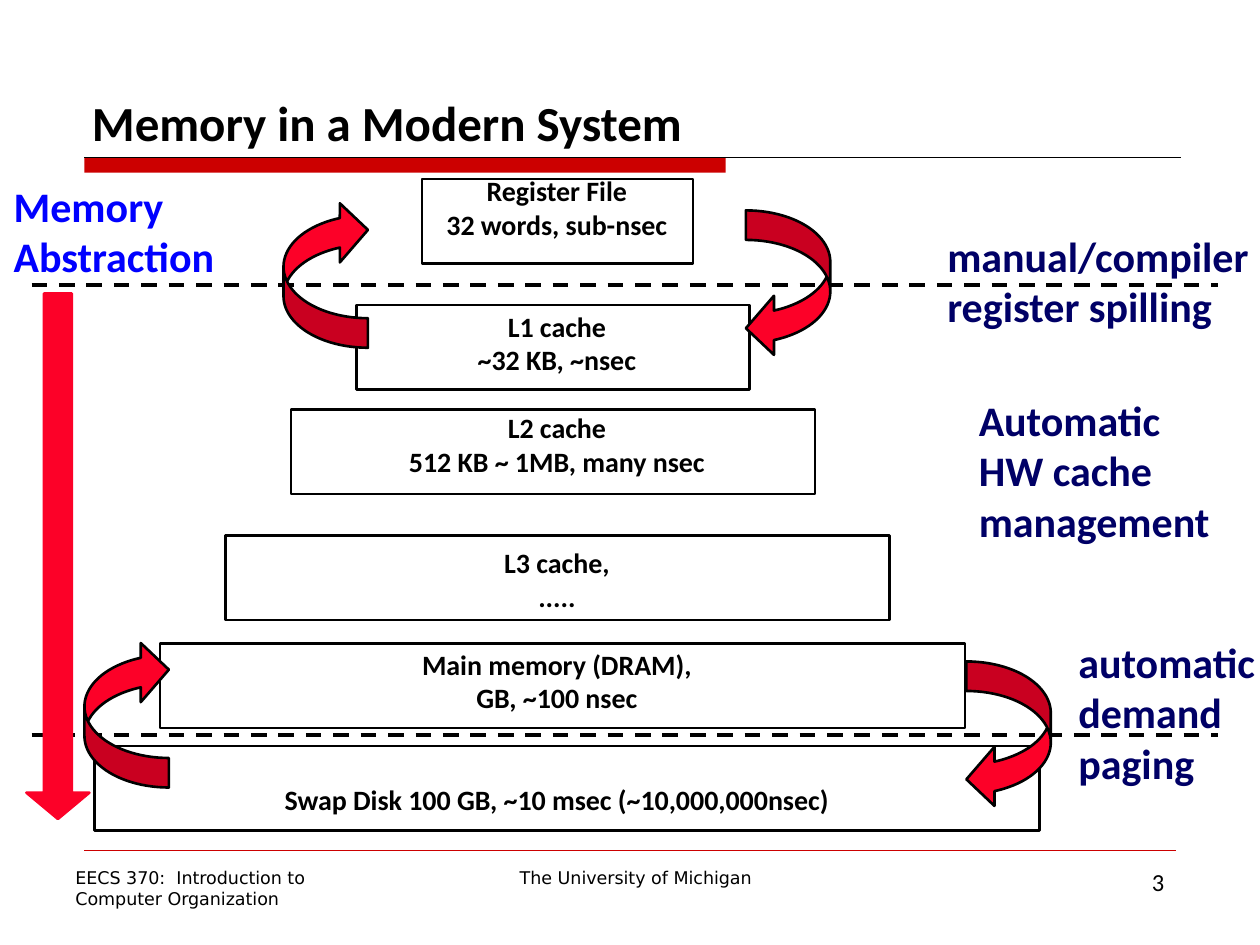
import dataclasses

import pptx
import pptx.dml.color
import pptx.enum.dml
import pptx.enum.shapes
import pptx.enum.text
import pptx.oxml
import pptx.oxml.ns
import pptx.util

Inches = pptx.util.Inches
Pt = pptx.util.Pt
ALIGN = pptx.enum.text.PP_ALIGN
ANCHOR = pptx.enum.text.MSO_ANCHOR
SHAPE = pptx.enum.shapes.MSO_SHAPE
DASH = pptx.enum.dml.MSO_LINE.DASH


@dataclasses.dataclass(frozen=True)
class Theme:
    font: str = "Calibri"
    footer_font: str = "DejaVu Sans"
    black: str = "000000"
    rule: str = "CC0000"
    arrow: str = "FC0128"
    navy: str = "000066"
    blue: str = "0000FF"
    title: int = 28
    label: int = 24
    level: int = 16
    number: int = 14
    footer: int = 10


THEME = Theme()
LEVEL_LINE = 19.5


def rgb(value):
    return pptx.dml.color.RGBColor.from_string(value)


def box(left, top, width, height):
    return [Inches(length) for length in (left, top, width, height)]


def write_text(frame, lines, size, color=THEME.black, font=THEME.font, bold=False,
               align=ALIGN.LEFT, anchor=ANCHOR.TOP, wrap=True, gaps=None):
    frame.word_wrap = wrap
    frame.auto_size = pptx.enum.text.MSO_AUTO_SIZE.NONE
    frame.vertical_anchor = anchor
    for index, line in enumerate(lines):
        paragraph = frame.paragraphs[0] if index == 0 else frame.add_paragraph()
        paragraph.alignment = align
        paragraph.space_before = Pt(gaps[index] if gaps else 0)
        properties = paragraph._p.get_or_add_pPr()
        properties.set("marL", "0")
        properties.set("indent", "0")
        pptx.oxml.ns.qn("a:buNone")
        properties.append(pptx.oxml.parse_xml(
            f'<a:buNone {pptx.oxml.ns.nsdecls("a")}/>'))
        run = paragraph.add_run()
        run.text = line
        run.font.name = font
        run.font.size = Pt(size)
        run.font.bold = bold
        run.font.color.rgb = rgb(color)


def place_text(placeholder, position, lines, size, **style):
    placeholder.left, placeholder.top, placeholder.width, placeholder.height = box(*position)
    write_text(placeholder.text_frame, lines, size, **style)


def add_text(slide, position, lines, size, **style):
    write_text(slide.shapes.add_textbox(*box(*position)).text_frame, lines, size, **style)


def add_figure(slide, kind, position, fill=None, line=None, adjustments=(), rotation=0):
    figure = slide.shapes.add_shape(kind, *box(*position))
    figure.shadow.inherit = False
    figure.rotation = rotation
    for index, value in enumerate(adjustments):
        figure.adjustments[index] = value
    if fill:
        figure.fill.solid()
        figure.fill.fore_color.rgb = rgb(fill)
    else:
        figure.fill.background()
    if line:
        figure.line.color.rgb = rgb(line)
        figure.line.width = Pt(1.5)
    else:
        figure.line.fill.background()


def add_rule(slide, left, right, y, color, width, dash=None):
    rule = slide.shapes.add_connector(
        pptx.enum.shapes.MSO_CONNECTOR.STRAIGHT, *box(left, y, right, y))
    rule.line.color.rgb = rgb(color)
    rule.line.width = Pt(width)
    if dash:
        rule.line.dash_style = dash
    rule._element.spPr.append(pptx.oxml.parse_xml(
        f'<a:effectLst {pptx.oxml.ns.nsdecls("a")}/>'))


def add_frame(slide):
    add_figure(slide, SHAPE.RECTANGLE, (0.67, 1.25, 5.09, 0.12), fill=THEME.rule)
    add_rule(slide, 0.67, 9.37, 1.25, THEME.black, 0.75)
    add_rule(slide, 0.67, 9.33, 6.75, THEME.rule, 0.25)
    add_text(slide, (3.17, 6.83, 3.75, 0.27), ["The University of Michigan"],
             THEME.footer, font=THEME.footer_font, align=ALIGN.CENTER)
    add_text(slide, (0.5, 6.83, 2.75, 0.43),
             ["EECS 370:  Introduction to", "Computer Organization"],
             THEME.footer, font=THEME.footer_font)
    add_text(slide, (7.67, 6.83, 1.67, 0.52), ["3"], THEME.number, align=ALIGN.RIGHT)


def add_levels(slide, body):
    for left, top, width in [(3.35, 1.42, 2.15), (2.83, 2.42, 3.12), (2.31, 3.25, 4.16),
                             (1.79, 4.25, 5.27), (1.27, 5.11, 6.39), (0.75, 5.92, 7.5)]:
        add_figure(slide, SHAPE.RECTANGLE, (left, top, width, 0.67), line=THEME.black)
    levels = [
        (0, ["Register File", "32 words, sub-nsec"]),
        (2, ["L1 cache", "~32 KB, ~nsec"]),
        (1, ["L2 cache", "512 KB ~ 1MB, many nsec"]),
        (2, ["L3 cache,", "....."]),
        (1, ["Main memory (DRAM),", "GB, ~100 nsec"]),
        (2, ["Swap Disk 100 GB, ~10 msec (~10,000,000nsec)"]),
    ]
    lines = [line for _, texts in levels for line in texts]
    gaps = [lead * LEVEL_LINE if index == 0 else 0
            for lead, texts in levels for index in range(len(texts))]
    place_text(body, (0.17, 1.33, 8.5, 5.67), lines, THEME.level, bold=True,
               align=ALIGN.CENTER, gaps=gaps)


def add_transfers(slide):
    for y in (2.26, 5.83):
        add_rule(slide, 0.25, 9.67, y, THEME.black, 2.25, DASH)
    for left, top, rotation in [(5.92, 1.67, 0), (7.67, 5.25, 0),
                                (2.25, 1.59, 180), (0.67, 5.08, 180)]:
        add_figure(slide, SHAPE.CURVED_LEFT_ARROW, (left, top, 0.67, 1.17), THEME.arrow,
                   THEME.black, (0.35, 0.7, 0.333), rotation)
    add_figure(slide, SHAPE.DOWN_ARROW, (0.21, 2.33, 0.5, 4.17), THEME.arrow,
               THEME.arrow, (0.444, 0.417))


def add_labels(slide):
    for position, lines, color in [
        ((7.42, 1.78, 2.63, 0.91), ["manual/compiler", "register spilling"], THEME.navy),
        ((8.46, 5, 1.62, 1.31), ["automatic", "demand", "paging"], THEME.navy),
        ((7.67, 3.08, 2.06, 1.31), ["Automatic", "HW cache", "management"], THEME.navy),
        ((0.01, 1.38, 1.82, 0.91), ["Memory", "Abstraction"], THEME.blue),
    ]:
        add_text(slide, position, lines, THEME.label, color=color, bold=True, wrap=False)


def main():
    deck = pptx.Presentation()
    deck.slide_width, deck.slide_height = Inches(10), Inches(7.5)
    slide = deck.slides.add_slide(deck.slide_layouts[1])
    add_frame(slide)
    place_text(slide.shapes.title, (0.63, 0.33, 8.75, 0.92), ["Memory in a Modern System"],
               THEME.title, bold=True, anchor=ANCHOR.BOTTOM)
    add_levels(slide, slide.placeholders[1])
    add_transfers(slide)
    add_labels(slide)
    deck.save("out.pptx")


if __name__ == "__main__":
    main()
